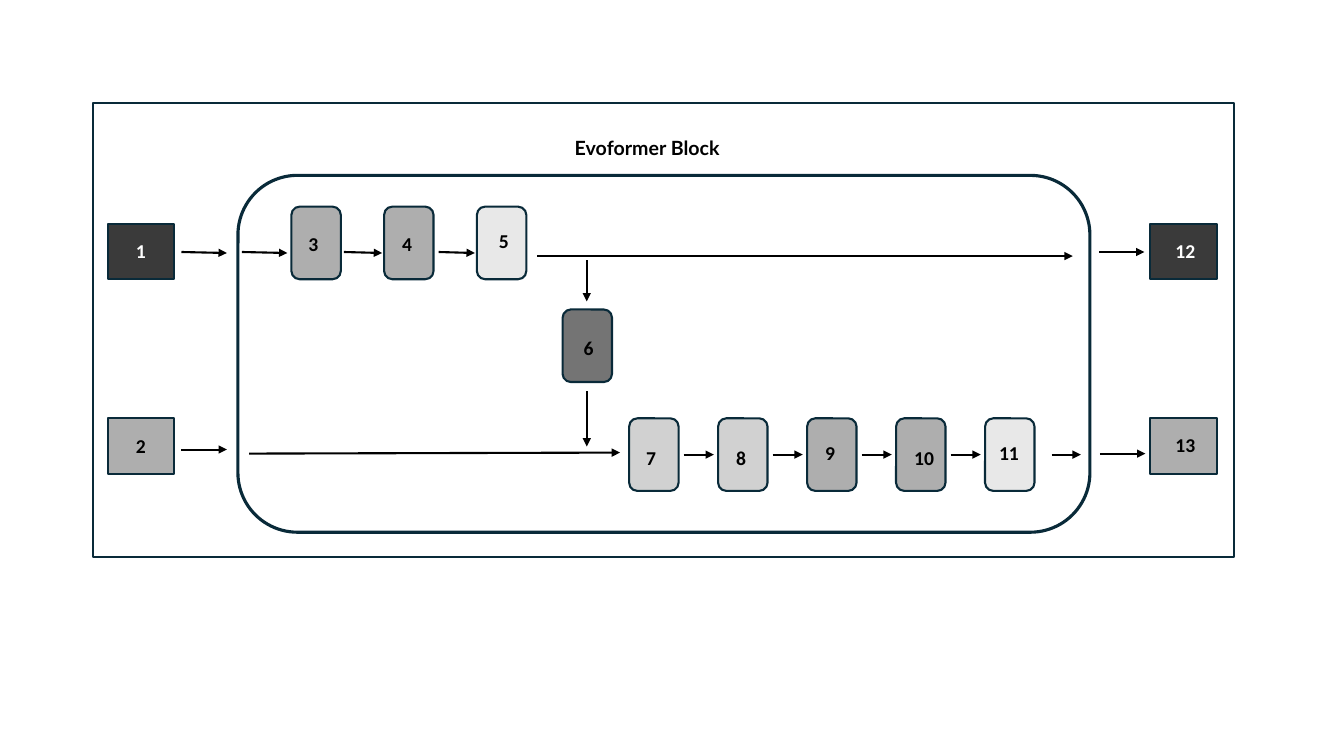
from lxml.etree import SubElement
from pptx import Presentation
from pptx.dml.color import RGBColor
from pptx.enum.shapes import MSO_CONNECTOR as Connector, MSO_SHAPE as Shape
from pptx.enum.text import MSO_ANCHOR as Anchor, MSO_AUTO_SIZE as AutoSize, PP_ALIGN as Align
from pptx.oxml.ns import qn
from pptx.util import Inches, Pt

NAVY, BLACK, WHITE = "092A39", "000000", "FFFFFF"
CHARCOAL, DARK, MID, LIGHT, PALE = "3A3A3A", "747474", "AEAEAE", "D1D1D1", "E8E8E8"
STEP_SIZE = (0.49, 0.72)
PORT_SIZE = (0.66, 0.55)
TOP_ROW, BOTTOM_ROW = 2.05, 4.15
TOP_LEFT, TOP_PITCH = 2.89, 0.92
BOTTOM_LEFT, BOTTOM_PITCH = 6.24, 0.8825

# Each entry: number, fill, label offset from the box corner
TOP_STEPS = [("3", MID, (0.07, 0.2)), ("4", MID, (0.08, 0.2)), ("5", PALE, (0.12, 0.17))]
BOTTOM_STEPS = [
    ("7", LIGHT, (0.07, 0.22)),
    ("8", LIGHT, (0.08, 0.22)),
    ("9", MID, (0.08, 0.18)),
    ("10", MID, (0.08, 0.22)),
    ("11", PALE, (0.04, 0.18)),
]
# Each entry: number, left, top, fill, label offset, label colour
PORTS = [
    ("1", 1.07, 2.22, CHARCOAL, (0.18, 0.1), WHITE),
    ("2", 1.07, 4.15, MID, (0.18, 0.11), BLACK),
    ("12", 11.41, 2.22, CHARCOAL, (0.15, 0.1), WHITE),
    ("13", 11.41, 4.15, MID, (0.15, 0.1), BLACK),
]
# Each entry: start x, start y, end x, end y
ARROWS = [
    (1.8, 2.5, 2.25, 2.51),
    (2.4, 2.5, 2.85, 2.51),
    (3.41, 2.5, 3.79, 2.51),
    (4.35, 2.5, 4.71, 2.51),
    (5.33, 2.54, 10.64, 2.54),
    (10.9, 2.5, 11.35, 2.5),
    (5.82, 2.58, 5.82, 2.99),
    (5.82, 3.88, 5.82, 4.43),
    (1.8, 4.46, 2.25, 4.46),
    (2.47, 4.5, 6.15, 4.49),
    (10.43, 4.51, 10.72, 4.51),
    (10.91, 4.5, 11.36, 4.5),
]


def rgb(colour):
    return RGBColor.from_string(colour)


def add_box(slide, kind, left, top, size, fill, line_width=1.5):
    shape = slide.shapes.add_shape(kind, *map(Inches, (left, top, *size)))
    shape.shadow.inherit = False
    shape.fill.solid()
    shape.fill.fore_color.rgb = rgb(fill)
    shape.line.color.rgb = rgb(NAVY)
    shape.line.width = Pt(line_width)


def write_text(shape, text, font_name, colour):
    frame = shape.text_frame
    frame.text = text
    frame_format = {"word_wrap": True, "auto_size": AutoSize.SHAPE_TO_FIT_TEXT,
                    "vertical_anchor": Anchor.TOP}
    for name, value in frame_format.items():
        setattr(frame, name, value)
    paragraph = frame.paragraphs[0]
    paragraph.alignment = Align.LEFT
    paragraph.line_spacing = 1.0
    paragraph.space_before = Pt(0)
    font = paragraph.runs[0].font
    for name, value in {"name": font_name, "size": Pt(14), "bold": True}.items():
        setattr(font, name, value)
    font.color.rgb = rgb(colour)


def add_numbered_box(slide, kind, number, left, top, size, fill, offset, colour=BLACK):
    add_box(slide, kind, left, top, size, fill)
    label = slide.shapes.add_textbox(
        Inches(left + offset[0]), Inches(top + offset[1]), Inches(0.42), Inches(0.34))
    write_text(label, number, "Calibri", colour)


def add_step_row(slide, steps, left, top, pitch):
    for index, (number, fill, offset) in enumerate(steps):
        add_numbered_box(slide, Shape.ROUNDED_RECTANGLE, number, left + index * pitch, top,
                         STEP_SIZE, fill, offset)


def add_arrow(slide, *ends):
    arrow = slide.shapes.add_connector(Connector.STRAIGHT, *map(Inches, ends))
    arrow.line.color.rgb = rgb(BLACK)
    arrow.line.width = Pt(1.5)
    SubElement(arrow.line._get_or_add_ln(), qn("a:tailEnd"), type="triangle")
    SubElement(arrow._element.spPr, qn("a:effectLst"))


def place_title(slide, text):
    title = slide.shapes.title
    place = {"left": 5.6, "top": 1.3, "width": 2.38, "height": 0.34}
    for name, value in place.items():
        setattr(title, name, Inches(value))
    write_text(title, text, "Lato", BLACK)
    # Bring the title in front of the frames
    slide.shapes._spTree.append(title._element)


def main():
    presentation = Presentation()
    presentation.slide_width = Inches(13.33)
    presentation.slide_height = Inches(7.5)
    slide = presentation.slides.add_slide(presentation.slide_layouts[5])

    add_box(slide, Shape.RECTANGLE, 0.92, 1.02, (11.32, 4.51), WHITE)
    add_box(slide, Shape.ROUNDED_RECTANGLE, 2.36, 1.74, (8.45, 3.54), WHITE, 2.25)
    place_title(slide, "Evoformer Block")

    add_step_row(slide, TOP_STEPS, TOP_LEFT, TOP_ROW, TOP_PITCH)
    add_step_row(slide, BOTTOM_STEPS, BOTTOM_LEFT, BOTTOM_ROW, BOTTOM_PITCH)
    add_numbered_box(slide, Shape.ROUNDED_RECTANGLE, "6", 5.58, 3.07, STEP_SIZE, DARK,
                     (0.11, 0.21))
    for number, left, top, fill, offset, colour in PORTS:
        add_numbered_box(slide, Shape.RECTANGLE, number, left, top, PORT_SIZE, fill, offset,
                         colour)

    for ends in ARROWS:
        add_arrow(slide, *ends)
    for index in range(len(BOTTOM_STEPS) - 1):
        start = BOTTOM_LEFT + STEP_SIZE[0] + 0.05 + index * BOTTOM_PITCH
        add_arrow(slide, start, 4.51, start + 0.3, 4.51)

    presentation.save("out.pptx")


if __name__ == "__main__":
    main()
